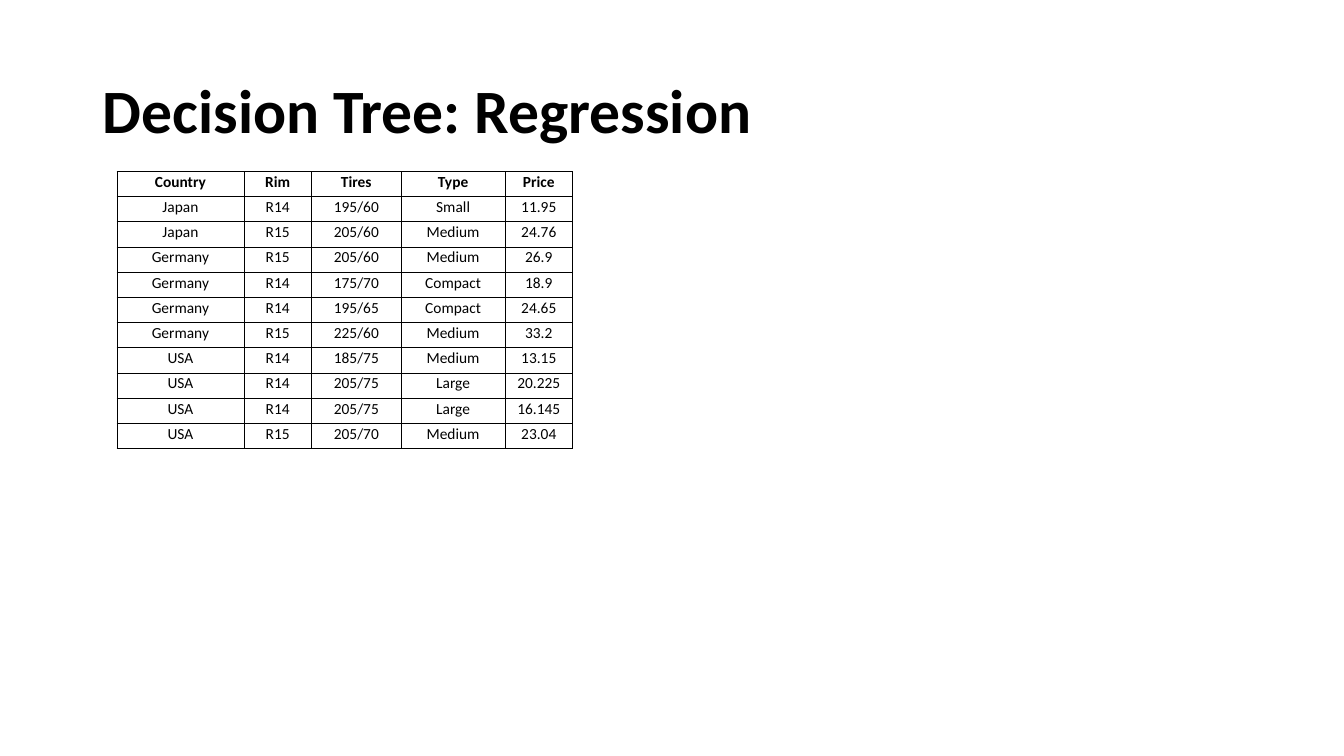
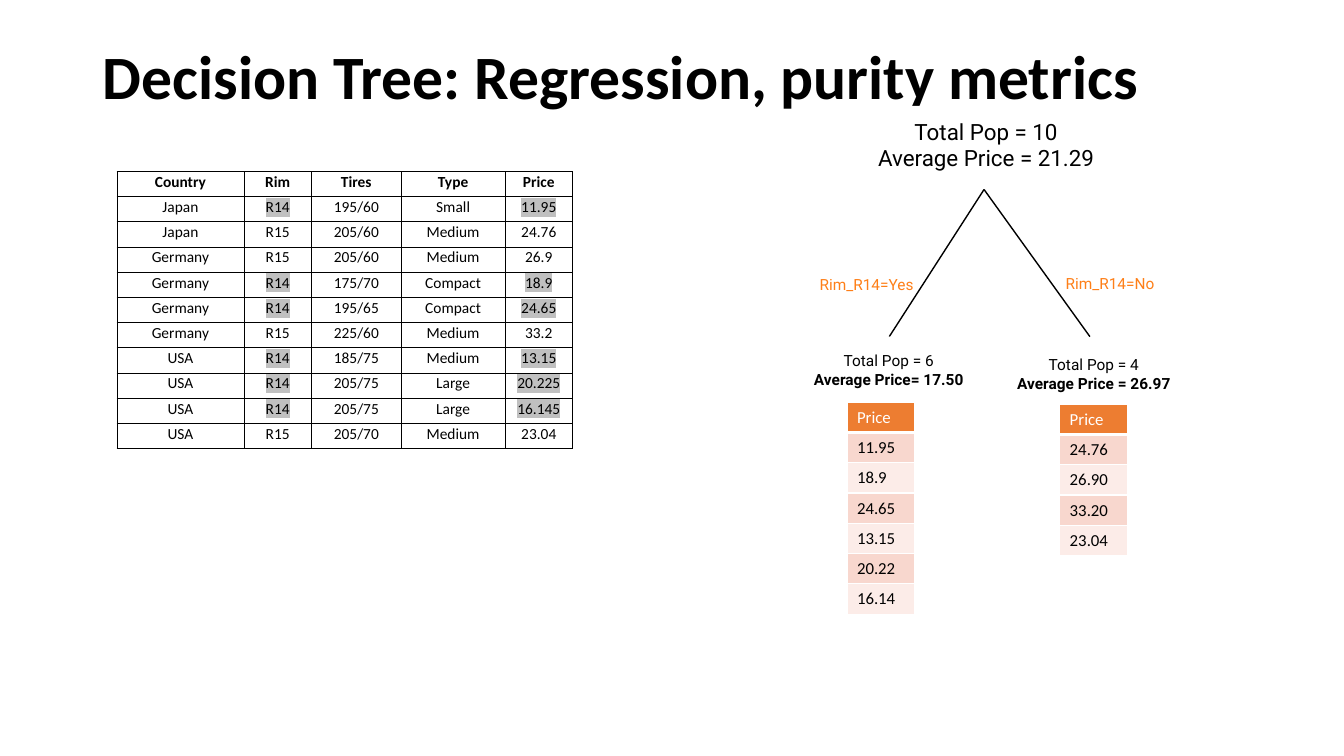
from lxml import etree
from pptx import Presentation
from pptx.dml.color import RGBColor
from pptx.enum import shapes, text
from pptx.oxml import ns
from pptx.util import Inches, Pt

BLACK, WHITE, GRAY = "000000", "FFFFFF", "C0C0C0"
ORANGE, HEADER = "FE7F18", "ED7D31"
BANDS = ("F8D7CE", "FCECE8")
BODY, LABEL = "Calibri", "Roboto"
CENTER = text.PP_ALIGN.CENTER
MIDDLE = text.MSO_ANCHOR.MIDDLE

CARS = [
    ("Country", "Rim", "Tires", "Type", "Price"),
    ("Japan", "R14", "195/60", "Small", "11.95"),
    ("Japan", "R15", "205/60", "Medium", "24.76"),
    ("Germany", "R15", "205/60", "Medium", "26.9"),
    ("Germany", "R14", "175/70", "Compact", "18.9"),
    ("Germany", "R14", "195/65", "Compact", "24.65"),
    ("Germany", "R15", "225/60", "Medium", "33.2"),
    ("USA", "R14", "185/75", "Medium", "13.15"),
    ("USA", "R14", "205/75", "Large", "20.225"),
    ("USA", "R14", "205/75", "Large", "16.145"),
    ("USA", "R15", "205/70", "Medium", "23.04"),
]
CAR_WIDTHS = (1.26, 0.67, 0.89, 1.03, 0.67)
RIM, PRICE = 1, 4

SLIDES = [
    {"title": "Decision Tree: Regression", "height": 1.45, "tree": False},
    {"title": "Decision Tree: Regression, purity metrics", "height": 0.77, "tree": True},
]

ROOT = {"lines": ["Total Pop = 10", "Average Price = 21.29"], "at": (8.29, 1.05, 2.98, 0.77)}
FORK = (9.76, 1.88)
BRANCHES = [
    {
        "end": (8.82, 3.34),
        "test": "Rim_R14=Yes", "test_at": (8.03, 2.68, 1.22, 0.29),
        "lines": ["Total Pop = 6", "Average Price= 17.50"], "at": (7.87, 3.34, 1.89, 0.66),
        "prices": ["Price", "11.95", "18.9", "24.65", "13.15", "20.22", "16.14"],
        "prices_at": (8.4, 3.99),
    },
    {
        "end": (10.81, 3.34),
        "test": "Rim_R14=No", "test_at": (10.47, 2.67, 1.22, 0.29),
        "lines": ["Total Pop = 4", "Average Price = 26.97"], "at": (9.92, 3.4, 1.86, 0.62),
        "prices": ["Price", "24.76", "26.90", "33.20", "23.04"],
        "prices_at": (10.51, 4.01),
    },
]


def color(value):
    return RGBColor.from_string(value)


def inches(values):
    return [Inches(value) for value in values]


def write(frame, lines, size=11, font=BODY, ink=BLACK, bold_lines=(), align=text.PP_ALIGN.LEFT,
          spacing=None, highlight=None):
    for index, line in enumerate(lines):
        para = frame.add_paragraph() if index else frame.paragraphs[0]
        para.alignment = align
        para.line_spacing = spacing
        span = para.add_run()
        span.text = line
        span.font.size = Pt(size)
        span.font.bold = index in bold_lines
        span.font.color.rgb = color(ink)
        if highlight:
            mark = etree.SubElement(span.font._element, ns.qn("a:highlight"))
            etree.SubElement(mark, ns.qn("a:srgbClr"), val=highlight)
        span.font.name = font


def border(cell, ink, **widths):
    properties = cell._tc.get_or_add_tcPr()
    for index, side in enumerate("LRTB"):
        line = etree.Element(ns.qn("a:ln" + side), w=str(Pt(widths[side])))
        fill = etree.SubElement(line, ns.qn("a:solidFill"))
        etree.SubElement(fill, ns.qn("a:srgbClr"), val=ink)
        properties.insert(index, line)


def add_grid(page, left, top, widths, row_height, count):
    size = inches((left, top, sum(widths), row_height * count))
    table = page.shapes.add_table(count, len(widths), *size).table
    table.first_row = table.horz_banding = False
    for column, width in zip(table.columns, widths):
        column.width = Inches(width)
    for row in table.rows:
        row.height = Inches(row_height)
    return table


def add_cars(page, highlighted):
    table = add_grid(page, 1.16, 1.7, CAR_WIDTHS, 0.25, len(CARS))
    for r, car in enumerate(CARS):
        for c, value in enumerate(car):
            cell = table.cell(r, c)
            cell.margin_left = cell.margin_right = cell.margin_top = Inches(0.01)
            cell.margin_bottom = Inches(0.05)
            cell.vertical_anchor = text.MSO_ANCHOR.BOTTOM
            cell.fill.background()
            border(cell, BLACK, L=0.5, R=0.5, T=0.5, B=0.5)
            marked = highlighted and car[RIM] == "R14" and c in (RIM, PRICE)
            write(cell.text_frame, [value], align=CENTER, bold_lines=() if r else (0,),
                  highlight=GRAY if marked else None)


def add_prices(page, left, top, prices):
    table = add_grid(page, left, top, (0.67,), 0.3, len(prices))
    for r, price in enumerate(prices):
        cell = table.cell(r, 0)
        cell.fill.solid()
        cell.fill.fore_color.rgb = color(BANDS[(r - 1) % 2] if r else HEADER)
        border(cell, WHITE, L=1, R=1, T=1, B=1 if r else 3)
        write(cell.text_frame, [price], size=12, ink=BLACK if r else WHITE)


def add_node(page, at, lines, **style):
    box = page.shapes.add_shape(shapes.MSO_SHAPE.RECTANGLE, *inches(at))
    box.shadow.inherit = False
    box.fill.solid()
    box.fill.fore_color.rgb = color(WHITE)
    box.line.fill.background()
    box.text_frame.word_wrap = True
    box.text_frame.vertical_anchor = MIDDLE
    write(box.text_frame, lines, font=LABEL, align=CENTER, **style)


def add_branch(page, branch):
    line = page.shapes.add_connector(shapes.MSO_CONNECTOR.STRAIGHT, *inches(FORK + branch["end"]))
    line.line.color.rgb = color(BLACK)
    line.line.width = Pt(1)
    etree.SubElement(line._element.spPr, ns.qn("a:effectLst"))
    box = page.shapes.add_textbox(*inches(branch["test_at"]))
    box.text_frame.word_wrap = True
    write(box.text_frame, [branch["test"]], font=LABEL, ink=ORANGE)
    add_node(page, branch["at"], branch["lines"], bold_lines=(1,))
    add_prices(page, *branch["prices_at"], branch["prices"])


def add_title(page, title, height):
    box = page.shapes.title
    box.left, box.top, box.width, box.height = inches((0.92, 0.4, 11.5, height))
    box.text_frame.vertical_anchor = MIDDLE
    box.text_frame.auto_size = text.MSO_AUTO_SIZE.NONE
    write(box.text_frame, [title], size=44, bold_lines=(0,), spacing=0.9)


deck = Presentation()
deck.slide_width, deck.slide_height = inches((13.33, 7.5))
for content in SLIDES:
    page = deck.slides.add_slide(deck.slide_layouts[5])
    add_title(page, content["title"], content["height"])
    add_cars(page, content["tree"])
    if content["tree"]:
        for branch in BRANCHES:
            add_branch(page, branch)
        add_node(page, ROOT["at"], ROOT["lines"], size=16)
deck.save("out.pptx")
